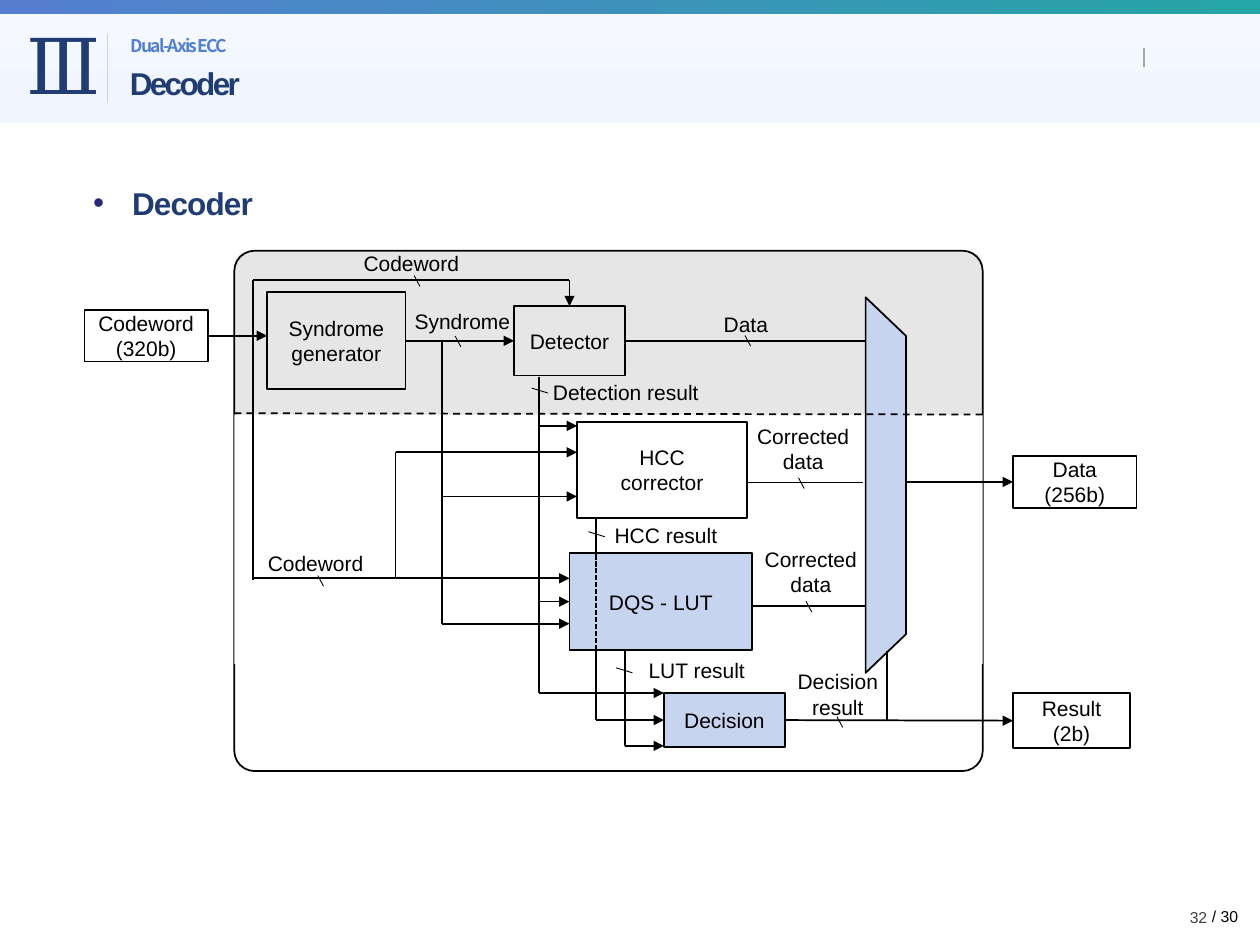
from dataclasses import dataclass
from itertools import pairwise

from lxml import etree
from pptx import Presentation
from pptx.dml.color import RGBColor
from pptx.enum.dml import MSO_LINE
from pptx.enum.shapes import MSO_CONNECTOR, MSO_SHAPE
from pptx.enum.text import MSO_ANCHOR, MSO_AUTO_SIZE, PP_ALIGN
from pptx.oxml.ns import qn
from pptx.util import Inches, Pt

RECT, ROUNDED, TRAPEZOID = MSO_SHAPE.RECTANGLE, MSO_SHAPE.ROUNDED_RECTANGLE, MSO_SHAPE.TRAPEZOID
LEFT, CENTER, RIGHT = PP_ALIGN.LEFT, PP_ALIGN.CENTER, PP_ALIGN.RIGHT
TOP, MIDDLE = MSO_ANCHOR.TOP, MSO_ANCHOR.MIDDLE
DASH, FINE_DASH = MSO_LINE.DASH, MSO_LINE.SQUARE_DOT
SIDE_TOP, SIDE_LEFT, SIDE_RIGHT = 0, 1, 3

COLORS = {
    "black": "000000", "white": "FFFFFF", "navy": "203C73", "blue": "5580D0",
    "pale": "C6D4EF", "grey": "E7E6E6", "rule": "A6A6A6", "number": "404040",
    "bullet": "292D73", "band_top": "F5F8FE", "band_end": "F0F5FE",
    "strip_left": "557ED0", "strip_right": "26A6A6",
}
CELL = 0.1  # inches; the slide is a grid of 100 columns by 75 rows


@dataclass
class Box:
    """A region of the slide, in grid columns and rows."""
    left: float
    top: float
    width: float
    height: float

    def point(self, column, row):
        return Inches((self.left + column) * CELL), Inches((self.top + row) * CELL)

    def frame(self, column, row, columns, rows):
        return *self.point(column, row), Inches(columns * CELL), Inches(rows * CELL)


def color(name):
    return RGBColor.from_string(COLORS[name])


def write(shape, text, size=12, font="Arial", ink="black", align=CENTER, anchor=MIDDLE,
          bold=False, spacing=0, wrap=True):
    frame = shape.text_frame
    frame.text = text
    frame.word_wrap = wrap
    frame.auto_size = MSO_AUTO_SIZE.NONE
    frame.vertical_anchor = anchor
    for para in frame.paragraphs:
        para.alignment = align
        for span in para.runs:
            span.font.size, span.font.name, span.font.bold = Pt(size), font, bold
            span.font.color.rgb = color(ink)
            props = span.font._element
            etree.SubElement(props, qn("a:ea"), typeface=font)
            if spacing:
                props.set("spc", str(round(spacing * 100)))


def add_text(page, box, place, text, anchor=TOP, **style):
    shape = page.shapes.add_textbox(*box.frame(*place))
    write(shape, text, anchor=anchor, **style)
    return shape


def add_block(page, box, place, text="", kind=RECT, fill=None, outline=True):
    shape = page.shapes.add_shape(kind, *box.frame(*place))
    shape.shadow.inherit = False
    if fill:
        shape.fill.solid()
        shape.fill.fore_color.rgb = color(fill)
    else:
        shape.fill.background()
    if outline:
        shape.line.color.rgb = color("black")
        shape.line.width = Pt(1)
    else:
        shape.line.fill.background()
    if text:
        write(shape, text)
    return shape


def add_gradient(page, box, place, stops, angle):
    shape = add_block(page, box, place, outline=False)
    shape.fill.gradient()
    shape.fill.gradient_angle = angle
    for stop, (position, name) in zip(shape.fill.gradient_stops, stops):
        stop.position = position
        stop.color.rgb = color(name)


def add_wire(page, box, points, arrow=False, begin=None, end=None, ink="black", width=1, dash=None):
    """Draw straight segments through points; begin and end are (shape, side) joints."""
    segments = []
    for start, stop in pairwise(points):
        line = page.shapes.add_connector(
            MSO_CONNECTOR.STRAIGHT, *box.point(*start), *box.point(*stop))
        line.line.color.rgb = color(ink)
        line.line.width = Pt(width)
        if dash:
            line.line.dash_style = dash
        etree.SubElement(line.element.spPr, qn("a:effectLst"))
        segments.append(line)
    if begin:
        segments[0].begin_connect(*begin)
    if end:
        segments[-1].end_connect(*end)
    if arrow:
        etree.SubElement(segments[-1].line._get_or_add_ln(), qn("a:tailEnd"), type="triangle")


def add_tick(page, box, column, row, across=0.45, down=0.85):
    """Mark a bus with a short slanted stroke centred on the given point."""
    add_wire(page, box, [(column - across / 2, row - down / 2),
                         (column + across / 2, row + down / 2)], width=0.5)


def add_header(page, box):
    add_gradient(page, box, (0, 1.1, box.width, box.height - 1.1),
                 [(0.07, "band_top"), (0.73, "band_end")], 270)
    add_gradient(page, box, (0, 0, box.width, 1.1), [(0, "strip_left"), (1, "strip_right")], 0)
    add_text(page, box, (1.1, 0.9, 8.7, 8.4), "Ⅲ", size=44, font="Times New Roman",
             ink="navy", align=LEFT)
    add_wire(page, box, [(8.5, 2.7), (8.5, 8.2)], ink="pale", width=0.5)
    add_wire(page, box, [(90.8, 3.8), (90.8, 5.3)], ink="rule", width=0.75)

    title = page.shapes.title
    title.left, title.top, title.width, title.height = box.frame(9.3, 4.9, 81, 3.7)
    write(title, "Decoder", size=18, ink="navy", align=LEFT, bold=True, spacing=-1.5)
    outline = etree.Element(qn("a:ln"), w=str(Pt(0.25)))
    paint = etree.SubElement(outline, qn("a:solidFill"))
    etree.SubElement(paint, qn("a:srgbClr"), val=COLORS["navy"])
    title.text_frame.paragraphs[0].runs[0].font._element.insert(0, outline)
    title.element.getparent().append(title.element)  # in front of the bands

    section = add_text(page, box, (9.4, 2.5, 81, 2.5), "Dual-Axis ECC", size=10, ink="blue",
                       font="Noto Sans CJK KR", align=LEFT, anchor=MIDDLE, bold=True, spacing=-1)
    for shape in (title, section):
        shape.text_frame.paragraphs[0].line_spacing = 0.9
    section.text_frame.paragraphs[0].space_before = Pt(10)


def add_topic(page, box):
    topic = add_text(page, box, (0, 0, box.width, box.height), "Decoder", size=18, ink="navy",
                     align=LEFT, bold=True, spacing=-0.5)
    para = topic.text_frame.paragraphs[0]
    para.line_spacing = 1.2
    para.space_before = para.space_after = Pt(9)
    props = para._p.get_or_add_pPr()
    props.set("marL", str(Inches(0.31)))
    props.set("indent", str(-Inches(0.31)))
    tint = etree.SubElement(props, qn("a:buClr"))
    etree.SubElement(tint, qn("a:srgbClr"), val=COLORS["bullet"])
    etree.SubElement(props, qn("a:buFont"), typeface="Arial")
    etree.SubElement(props, qn("a:buChar"), char="•")


def add_decoder(page, box):
    shade = add_block(page, box, (18.6, 10, 59.4, 28.8), kind=ROUNDED, fill="grey", outline=False)
    outer = add_block(page, box, (18.6, 9.9, 59.4, 41.3), kind=ROUNDED)
    shade.adjustments[0], outer.adjustments[0] = 0.037, 0.039
    add_block(page, box, (18.6, 22.9, 59.4, 19.8), fill="white", outline=False)

    source = add_block(page, box, (6.7, 14.6, 9.8, 4.1), "Codeword\n(320b)")
    generator = add_block(page, box, (21.2, 13.2, 11, 7.7), "Syndrome\ngenerator")
    detector = add_block(page, box, (40.8, 14.3, 8.8, 5.5), "Detector")
    selector = add_block(page, box, (55.4, 26.9, 29.8, 3.2), kind=TRAPEZOID, fill="pale")
    selector.rotation = 90
    selector.adjustments[0] = 0.956
    add_block(page, box, (45.8, 23.5, 13.5, 7.6), "HCC\ncorrector")
    table = add_block(page, box, (45.2, 33.9, 14.5, 7.7), "DQS - LUT", fill="pale")
    decision = add_block(page, box, (52.7, 45, 9.6, 4.3), "Decision", fill="pale")
    data = add_block(page, box, (80.4, 26.2, 9.8, 4.1), "Data\n(256b)")
    result = add_block(page, box, (80.4, 45, 9.3, 4.4), "Result\n(2b)")

    wires = [  # points, arrow, begin joint, end joint
        ([(16.5, 16.65), (21.2, 16.65)], True, (source, SIDE_RIGHT), None),
        ([(20.1, 36), (20.1, 16.6), (20.1, 12.2), (45.2, 12.2), (45.2, 14.3)],
         True, None, (detector, SIDE_TOP)),
        ([(32.2, 17.05), (40.8, 17.05)], True, (generator, SIDE_RIGHT), (detector, SIDE_LEFT)),
        ([(49.6, 17.05), (68.7, 17.05)], False, (detector, SIDE_RIGHT), None),
        ([(71.9, 28.25), (80.4, 28.25)], True, None, (data, SIDE_LEFT)),
        ([(20.1, 35.9), (45.2, 35.9)], True, None, None),
        ([(31.4, 35.9), (31.4, 25.9), (45.8, 25.9)], True, None, None),
        ([(35.1, 17.1), (35.1, 39.5), (45.2, 39.5)], True, None, None),
        ([(35.1, 29.4), (45.8, 29.4)], True, None, None),
        ([(42.8, 19.9), (42.8, 45), (52.7, 45)], True, None, None),
        ([(42.8, 23.8), (45.8, 23.8)], True, None, None),
        ([(42.8, 37.75), (45.2, 37.75)], True, None, (table, SIDE_LEFT)),
        ([(47.3, 31.1), (47.3, 33.9)], False, None, None),
        ([(47.3, 41.6), (47.3, 47.15), (52.7, 47.15)], True, None, (decision, SIDE_LEFT)),
        ([(49.6, 41.6), (49.6, 49.2), (52.7, 49.2)], True, None, None),
        ([(62.3, 47.15), (80.4, 47.2)], True, (decision, SIDE_RIGHT), (result, SIDE_LEFT)),
        ([(70.4, 47.2), (70.4, 41.7)], False, None, None),
        ([(59.2, 28.3), (68.5, 28.3)], False, None, None),
        ([(59.8, 38.1), (68.7, 38.1)], False, None, None),
    ]
    for points, arrow, begin, end in wires:
        add_wire(page, box, points, arrow, begin, end)
    add_wire(page, box, [(18.6, 22.8), (78, 22.9)], dash=DASH)
    add_wire(page, box, [(47.3, 34), (47.3, 41.6)], dash=FINE_DASH)

    for column, row in [(33.1, 12.3), (36.35, 17.1), (59.35, 17.05), (25.45, 36.1),
                        (66.65, 47.3), (63.6, 28.35), (64.2, 38.15)]:
        add_tick(page, box, column, row)
    for column, row in [(42.85, 21), (47.35, 32.4), (49.55, 43.2)]:
        add_tick(page, box, column, row, across=1.3, down=0.4)

    labels = [
        (20.1, 9.4, 25.1, "Codeword", CENTER), (26.8, 14, 19.8, "Syndrome", CENTER),
        (49.7, 14.2, 19, "Data", CENTER), (12.5, 33.2, 25.1, "Codeword", CENTER),
        (47.8, 31, 10.4, "HCC result", LEFT), (50.3, 41.7, 10, "LUT result", CENTER),
        (42.9, 19.6, 14.4, "Detection result", LEFT),
        (61.5, 42.6, 10, "Decision\nresult", CENTER),
        (59, 23.1, 9.5, "Corrected\ndata", CENTER), (59.6, 32.9, 9.5, "Corrected\ndata", CENTER),
    ]
    for column, row, columns, text, align in labels:
        rows = 5 if "\n" in text else 3
        add_text(page, box, (column, row, columns, rows), text, align=align)


def add_page_number(page, box):
    add_text(page, box, (95.2, 1.5, 4.1, 2.5), "/ 30", size=9, align=LEFT, wrap=False)
    add_text(page, box, (74.3, 0.8, 22.5, 4), "32", size=9, ink="number", align=RIGHT,
             anchor=MIDDLE)


def main():
    deck = Presentation()
    deck.slide_width, deck.slide_height = Inches(10), Inches(7.5)
    page = deck.slides.add_slide(deck.slide_layouts[5])
    add_header(page, Box(0, 0, 100, 9.8))
    add_topic(page, Box(6.4, 13.5, 89, 51.8))
    add_decoder(page, Box(0, 10, 100, 60))
    add_page_number(page, Box(0, 70, 100, 5))
    deck.save("out.pptx")


if __name__ == "__main__":
    main()
